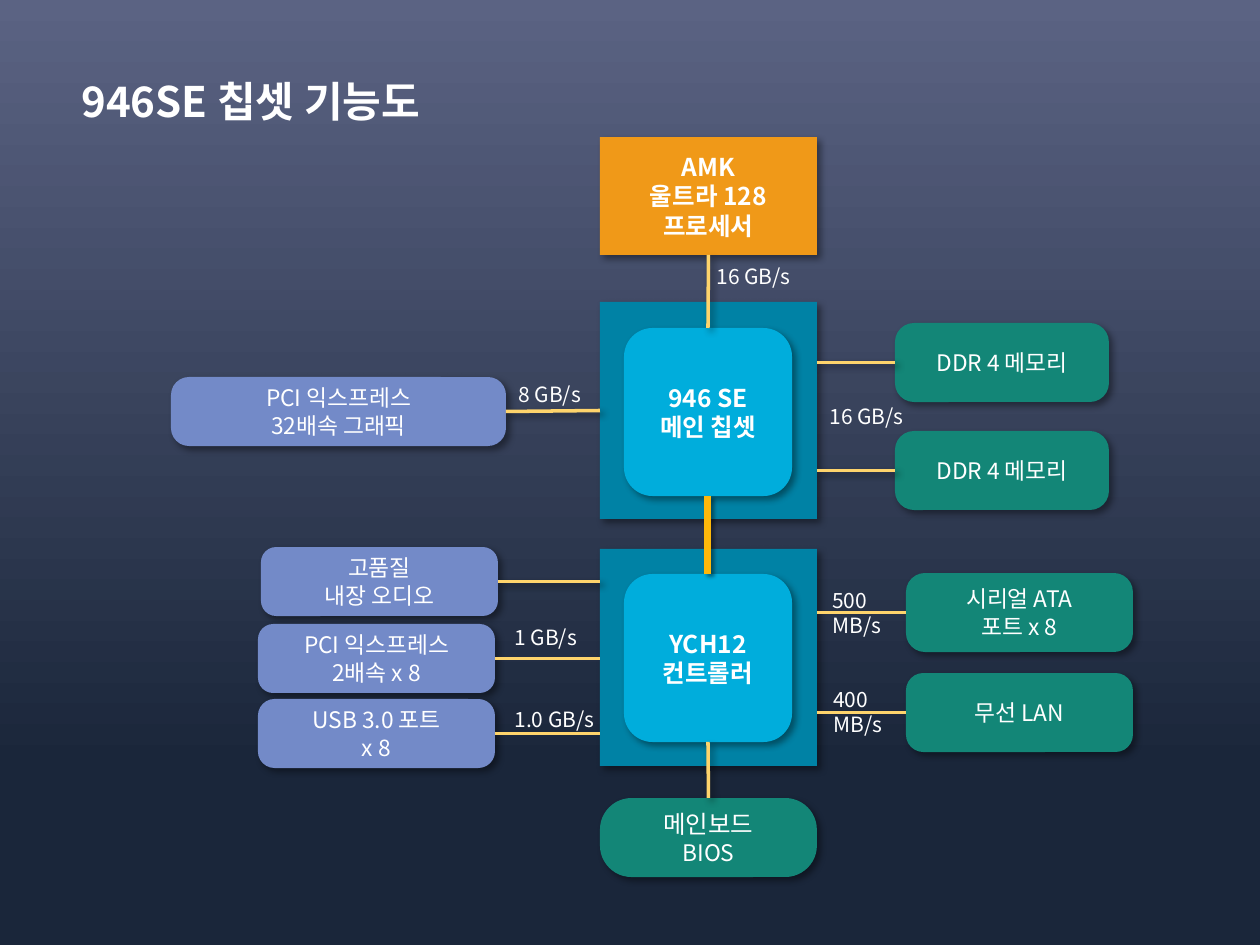
import copy
from dataclasses import dataclass

import pptx
import pptx.dml.color
import pptx.enum.shapes
import pptx.enum.text
import pptx.oxml.ns
import pptx.util
from lxml import etree

SCALE = 914400 / 126
TOP, LEFT, BOTTOM, RIGHT = range(4)
SHAPES = pptx.enum.shapes.MSO_SHAPE
qn = pptx.oxml.ns.qn


@dataclass(frozen=True)
class Theme:
    font: str = "Noto Sans CJK KR"
    background: tuple = (("5B6383", 0), ("1A263A", 0.81))
    text: str = "FFFFFF"
    processor: str = "F09918"
    panel: str = "0082A5"
    chip: str = "00ADDC"
    expansion: str = "738AC8"
    peripheral: str = "138677"
    bus: str = "FED46C"
    chip_bus: str = "FEB80A"
    title_size: int = 24
    chip_size: int = 14
    block_size: int = 13
    label_size: int = 12
    bus_width: int = 2
    chip_bus_width: int = 4


THEME = Theme()


def px(value):
    return pptx.util.Emu(round(value * SCALE))


def rgb(value):
    return pptx.dml.color.RGBColor.from_string(value)


def paint_background(slide):
    fill = slide.background.fill
    fill.gradient()
    fill.gradient_angle = 270
    for stop, (color, position) in zip(fill.gradient_stops, THEME.background):
        stop.color.rgb = rgb(color)
        stop.position = position


def add_shadow(effects, blur=4, distance=3):
    shadow = etree.SubElement(
        effects, qn("a:outerShdw"), blurRad=str(pptx.util.Pt(blur)),
        dist=str(pptx.util.Pt(distance)), dir="2700000", algn="tl", rotWithShape="0")
    color = etree.SubElement(shadow, qn("a:srgbClr"), val="000000")
    etree.SubElement(color, qn("a:alpha"), val="40000")


def write(frame, paragraphs, bold=False, align=None):
    """Fill a frame with (text, size) paragraphs; a newline is a line break."""
    frame.word_wrap = True
    for index, (text, size) in enumerate(paragraphs):
        paragraph = frame.add_paragraph() if index else frame.paragraphs[0]
        paragraph.text = text
        paragraph.alignment = align
        font_format = {"name": THEME.font, "size": pptx.util.Pt(size), "bold": bold}
        for run in paragraph.runs:
            for name, value in font_format.items():
                setattr(run.font, name, value)
            run.font.color.rgb = rgb(THEME.text)
            properties = run._r.get_or_add_rPr()
            etree.SubElement(properties, qn("a:ea"), typeface=THEME.font)
        # Breaks need the run format too, or they set a taller line
        for line_break in paragraph._p.findall(qn("a:br")):
            line_break.append(copy.deepcopy(properties))


def add_block(slide, box, color, paragraphs=(), corner=None, bold=False):
    """Add a shadowed block; a corner ratio makes it rounded."""
    preset = SHAPES.RECTANGLE if corner is None else SHAPES.ROUNDED_RECTANGLE
    block = slide.shapes.add_shape(preset, *map(px, box))
    if corner is not None:
        block.adjustments[0] = corner
    block.fill.solid()
    block.fill.fore_color.rgb = rgb(color)
    block.line.fill.background()
    block.shadow.inherit = False
    add_shadow(block._element.spPr.find(qn("a:effectLst")))
    block.text_frame.vertical_anchor = pptx.enum.text.MSO_ANCHOR.MIDDLE
    write(block.text_frame, paragraphs, bold, pptx.enum.text.PP_ALIGN.CENTER)
    return block


def add_text(slide, box, text, size, bold=False):
    frame = slide.shapes.add_textbox(*map(px, box)).text_frame
    write(frame, [(text, size)], bold)
    frame.auto_size = pptx.enum.text.MSO_AUTO_SIZE.SHAPE_TO_FIT_TEXT


def add_bus(slide, start, end, color=THEME.bus, width=THEME.bus_width, shadow=(4, 3)):
    """Join two (block, side) ends."""
    bus = slide.shapes.add_connector(
        pptx.enum.shapes.MSO_CONNECTOR.STRAIGHT, 0, 0, 0, 0)
    bus.begin_connect(*start)
    bus.end_connect(*end)
    style_bus(bus, color, width, shadow)


def add_side_bus(slide, block, side, panel_edge, shadow):
    """Run a level line from the middle of a block's side to a panel edge."""
    level = block.top + block.height // 2
    bus = slide.shapes.add_connector(
        pptx.enum.shapes.MSO_CONNECTOR.STRAIGHT, block.left, level, panel_edge, level)
    bus.begin_connect(block, side)
    style_bus(bus, THEME.bus, THEME.bus_width, shadow)


def style_bus(bus, color, width, shadow):
    bus.line.color.rgb = rgb(color)
    bus.line.width = pptx.util.Pt(width)
    effects = etree.SubElement(bus._element.spPr, qn("a:effectLst"))
    if shadow:
        add_shadow(effects, *shadow)


def main():
    presentation = pptx.Presentation()
    presentation.slide_width, presentation.slide_height = px(1260), px(945)
    slide = presentation.slides.add_slide(presentation.slide_layouts[6])
    paint_background(slide)
    add_text(slide, (69, 69, 601, 63), "946SE 칩셋 기능도", THEME.title_size, bold=True)

    main_panel, _ = [
        add_block(slide, (600, top, 217, 217), THEME.panel) for top in (302, 549)]
    main_chip, controller = [
        add_block(slide, (624, top, 168, 168), THEME.chip,
                  [(text, THEME.chip_size)], 0.17, bold=True)
        for top, text in ((328, "946 SE\n메인 칩셋"), (574, "YCH12\n컨트롤러"))]
    processor = add_block(slide, (600, 137, 217, 118), THEME.processor,
                          [("AMK\n울트라 128\n프로세서", THEME.chip_size)], bold=True)
    bios = add_block(slide, (600, 798, 217, 79), THEME.peripheral,
                     [("메인보드", THEME.chip_size), ("BIOS", THEME.block_size)], 0.4)
    graphics = add_block(slide, (171, 377, 335, 69), THEME.expansion,
                         [("PCI 익스프레스\n32배속 그래픽", THEME.block_size)], 0.26)

    add_bus(slide, (processor, BOTTOM), (main_chip, TOP))
    add_bus(slide, (main_chip, BOTTOM), (controller, TOP),
            THEME.chip_bus, THEME.chip_bus_width, (2, 2))
    add_bus(slide, (controller, BOTTOM), (bios, TOP))
    add_bus(slide, (graphics, RIGHT), (main_panel, LEFT))

    panel_left, panel_right = main_panel.left, main_panel.left + main_panel.width
    soft = (4, 3)
    for left, top, corner, shadow, text in (
            (261, 547, 0.22, soft, "고품질\n내장 오디오"),
            (258, 624, 0.22, None, "PCI 익스프레스\n2배속 x 8"),
            (258, 699, 0.24, None, "USB 3.0 포트\nx 8")):
        block = add_block(slide, (left, top, 237, 69), THEME.expansion,
                          [(text, THEME.block_size)], corner)
        add_side_bus(slide, block, RIGHT, panel_left, shadow)
    for left, top, width, corner, shadow, text in (
            (895, 323, 214, 0.24, soft, "DDR 4 메모리"),
            (895, 431, 214, 0.24, soft, "DDR 4 메모리"),
            (906, 573, 227, 0.24, None, "시리얼 ATA\n포트 x 8"),
            (906, 673, 227, 0.22, None, "무선 LAN")):
        block = add_block(slide, (left, top, width, 79), THEME.peripheral,
                          [(text, THEME.block_size)], corner)
        add_side_bus(slide, block, LEFT, panel_right, shadow)

    for left, top, height, speed in (
            (704, 257, 38, "16 GB/s"), (506, 375, 38, "8 GB/s"),
            (502, 618, 38, "1 GB/s"), (502, 700, 38, "1.0 GB/s"),
            (820, 581, 63, "500\nMB/s"), (821, 680, 63, "400\nMB/s"),
            (817, 397, 38, "16 GB/s")):
        add_text(slide, (left, top, 158, height), speed, THEME.label_size)

    presentation.save("out.pptx")


if __name__ == "__main__":
    main()
